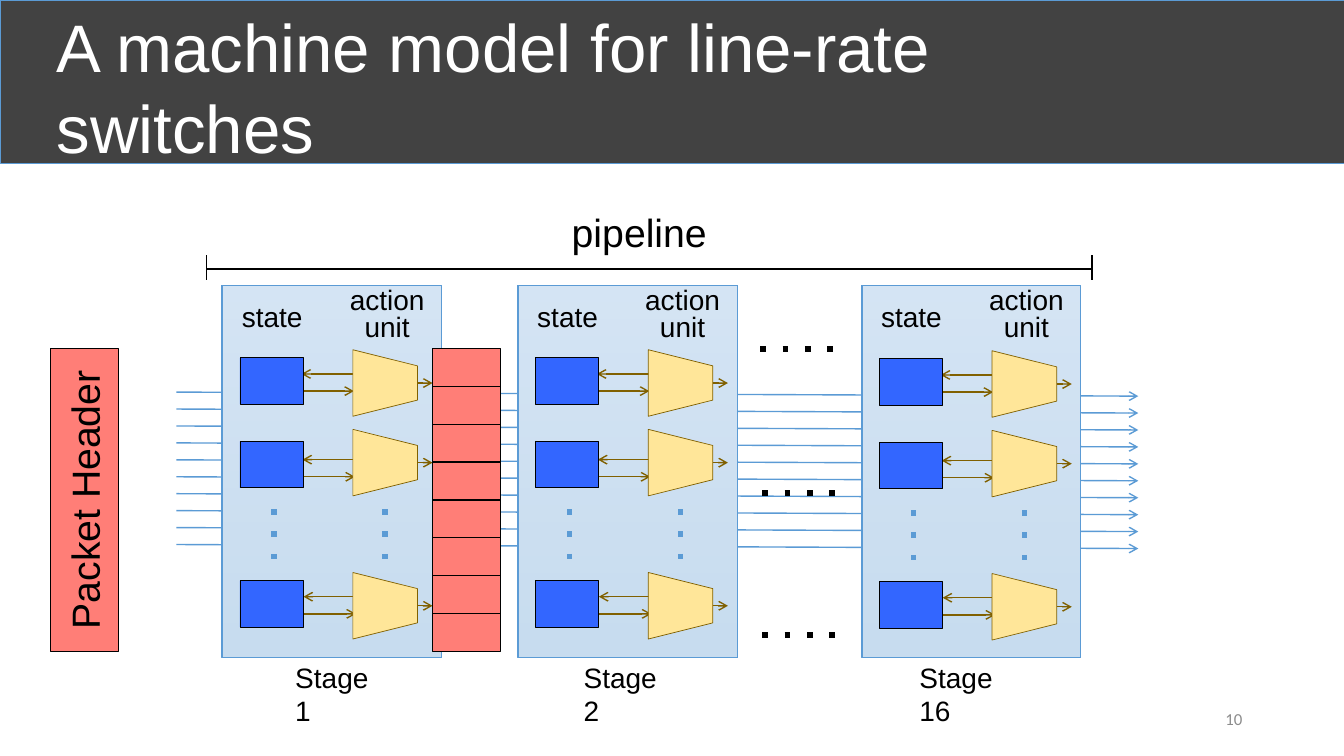
from pptx import Presentation
from pptx.dml.color import RGBColor
from pptx.enum.shapes import MSO_CONNECTOR, MSO_SHAPE
from pptx.enum.text import MSO_ANCHOR, MSO_AUTO_SIZE, PP_ALIGN
from pptx.oxml.ns import qn
from pptx.util import Inches, Pt
from lxml import etree

STRAIGHT = MSO_CONNECTOR.STRAIGHT
RECTANGLE, TRAPEZOID = MSO_SHAPE.RECTANGLE, MSO_SHAPE.TRAPEZOID
LEFT, CENTER, RIGHT = PP_ALIGN.LEFT, PP_ALIGN.CENTER, PP_ALIGN.RIGHT
MIDDLE, NO_AUTOFIT = MSO_ANCHOR.MIDDLE, MSO_AUTO_SIZE.NONE
BLACK = RGBColor(0x00, 0x00, 0x00)
WHITE = RGBColor(0xFF, 0xFF, 0xFF)
CHARCOAL = RGBColor(0x42, 0x42, 0x42)
GRAY = RGBColor(0x8C, 0x8C, 0x8C)
BLUE = RGBColor(0x5B, 0x9B, 0xD5)
STAGE_TOP = RGBColor(0x71, 0xA6, 0xDB)
STAGE_BOTTOM = RGBColor(0x44, 0x8A, 0xCA)
STATE_BLUE = RGBColor(0x33, 0x66, 0xFF)
CREAM = RGBColor(0xFF, 0xE6, 0x99)
BROWN = RGBColor(0x80, 0x60, 0x00)
SALMON = RGBColor(0xFF, 0x7E, 0x77)

prs = Presentation()
prs.slide_width, prs.slide_height = Inches(13.33), Inches(7.5)
slide = prs.slides.add_slide(prs.slide_layouts[5])
shapes = slide.shapes


def add_block(kind, left, top, width, height, fill, outline):
    block = shapes.add_shape(kind, Inches(left), Inches(top), Inches(width), Inches(height))
    block.shadow.inherit = False
    block.fill.solid()
    block.fill.fore_color.rgb = fill
    block.line.color.rgb = outline
    block.line.width = Pt(0.5)
    return block


def add_line(x1, y1, x2, y2, color, width=1, dotted=False, arrow=False):
    line = shapes.add_connector(STRAIGHT, Inches(x1), Inches(y1), Inches(x2), Inches(y2))
    line.line.color.rgb = color
    line.line.width = Pt(width)
    properties = line.element.spPr
    stroke = properties.find(qn("a:ln"))
    if dotted:
        etree.SubElement(stroke, qn("a:prstDash")).set("val", "dot")
    if arrow:
        etree.SubElement(stroke, qn("a:tailEnd")).set("type", "arrow")
    etree.SubElement(properties, qn("a:effectLst"))


title = shapes.title
title.left, title.top, title.width, title.height = Inches(0.46), Inches(0.13), Inches(11.5), Inches(1.45)
title.text_frame.auto_size = NO_AUTOFIT
title.text_frame.word_wrap = True
title.text_frame.vertical_anchor = MIDDLE
title_paragraph = title.text_frame.paragraphs[0]
title_paragraph.alignment = LEFT
title_run = title_paragraph.add_run()
title_run.text = "A machine model for line-rate switches"
title_run.font.name, title_run.font.size = "Arial", Pt(48)
title_run.font.color.rgb = WHITE
title_bar = add_block(RECTANGLE, 0, 0, 13.33, 1.62, CHARCOAL, BLUE)
title.element.addprevious(title_bar.element)

for wire in range(10):
    wire_y = 3.89 + 0.168 * wire
    add_line(1.75, wire_y, 11.29, wire_y + 0.04, BLUE, arrow=True)

for dots_x, dots_y in [(7.54, 3.46), (7.56, 4.89), (7.56, 6.3)]:
    add_line(dots_x, dots_y, dots_x + 0.86, dots_y, BLACK, 4, dotted=True)

for bracket_x in (2.05, 10.83):
    add_line(bracket_x, 2.53, bracket_x, 2.78, BLACK)
add_line(10.83, 2.67, 2.05, 2.67, BLACK)

labels = [
    ("pipeline", 4.89, 2, 2.9, 0.62, 28, CENTER, 1, 0.14),
    ("10", 9.42, 6.98, 3, 0.4, 12, RIGHT, 1, 0.1),
]
stages = [
    ("Stage 1", 2.2, 0, 2.83, 1.03),
    ("Stage 2", 5.13, 0, 5.69, 1.07),
    ("Stage 16", 8.54, 0.01, 9.02, 1.18),
]
state_tops = [3.55, 4.38, 5.76]
action_tops = [3.48, 4.27, 5.69]
read_levels = [3.88, 4.73, 6.09]
for name, x, drop, name_x, name_width in stages:
    stage = add_block(RECTANGLE, x, 2.83, 2.18, 3.69, BLUE, BLUE)
    stage.fill.gradient()
    stage.fill.gradient_angle = 270
    for stop, color in zip(stage.fill.gradient_stops, (STAGE_TOP, STAGE_BOTTOM)):
        stop.color.rgb = color
    veil = add_block(RECTANGLE, x + 0.01, 2.83, 2.17, 3.69, WHITE, BLUE)
    veil_color = veil.element.spPr.find(qn("a:solidFill")).find(qn("a:srgbClr"))
    etree.SubElement(veil_color, qn("a:alpha")).set("val", "70000")

    for row, level in enumerate(read_levels):
        row_x, read_y = x + 0.01 * row, level + drop
        add_line(row_x + 0.52, read_y, row_x + 1.31, read_y, BROWN, arrow=True)
        add_line(row_x + 1.38, read_y - 0.17, row_x + 0.79, read_y - 0.17, BROWN, arrow=True)
    for state_top, action_top in zip(state_tops, action_tops):
        add_block(RECTANGLE, x + 0.18, state_top + drop, 0.63, 0.46, STATE_BLUE, BLACK)
        action = add_block(TRAPEZOID, x + 1.29, action_top + drop, 0.66, 0.64, CREAM, BROWN)
        action.rotation = 90
        output_y = action_top + drop + 0.32
        add_line(x + 1.94, output_y, x + 2.09, output_y, BROWN, arrow=True)
    for dots_x in (x + 0.52, x + 1.62):
        add_line(dots_x, 5.05 + drop, dots_x, 5.59 + drop, BLUE, 4, dotted=True)

    labels += [
        ("state", x - 0.06, 2.97, 1.12, 0.42, 20, CENTER, 0.8, 0.14),
        ("action unit", x + 1.1, 2.8, 1.08, 0.69, 20, CENTER, 0.8, 0.14),
        (name, name_x, 6.5, name_width, 0.44, 20, LEFT, 1, 0.1),
    ]

packet_header = add_block(RECTANGLE, 0.5, 3.46, 0.67, 3, SALMON, BLACK)
packet_header.text_frame.vertical_anchor = MIDDLE
packet_header.text_frame.word_wrap = True
packet_header.element.txBody.find(qn("a:bodyPr")).set("vert", "vert270")
header_paragraph = packet_header.text_frame.paragraphs[0]
header_paragraph.alignment = CENTER
header_run = header_paragraph.add_run()
header_run.text = "Packet Header"
header_run.font.name, header_run.font.size = "Arial", Pt(28)
header_run.font.color.rgb = BLACK

add_block(RECTANGLE, 4.29, 3.46, 0.67, 3, SALMON, BLACK)
for field in range(1, 8):
    field_y = 3.46 + 0.375 * field
    add_line(4.29, field_y, 4.96, field_y, BLACK)

for text, left, top, width, height, size, align, spacing, inset in labels:
    label = shapes.add_textbox(Inches(left), Inches(top), Inches(width), Inches(height))
    frame = label.text_frame
    frame.word_wrap = True
    frame.margin_left = frame.margin_right = Inches(inset)
    frame.margin_top = frame.margin_bottom = Inches(inset / 2)
    paragraph = frame.paragraphs[0]
    paragraph.alignment = align
    paragraph.line_spacing = spacing
    run = paragraph.add_run()
    run.text = text
    run.font.size = Pt(size)
    run.font.name = "Calibri" if align == RIGHT else "Arial"
    run.font.color.rgb = GRAY if align == RIGHT else BLACK

prs.save("out.pptx")
